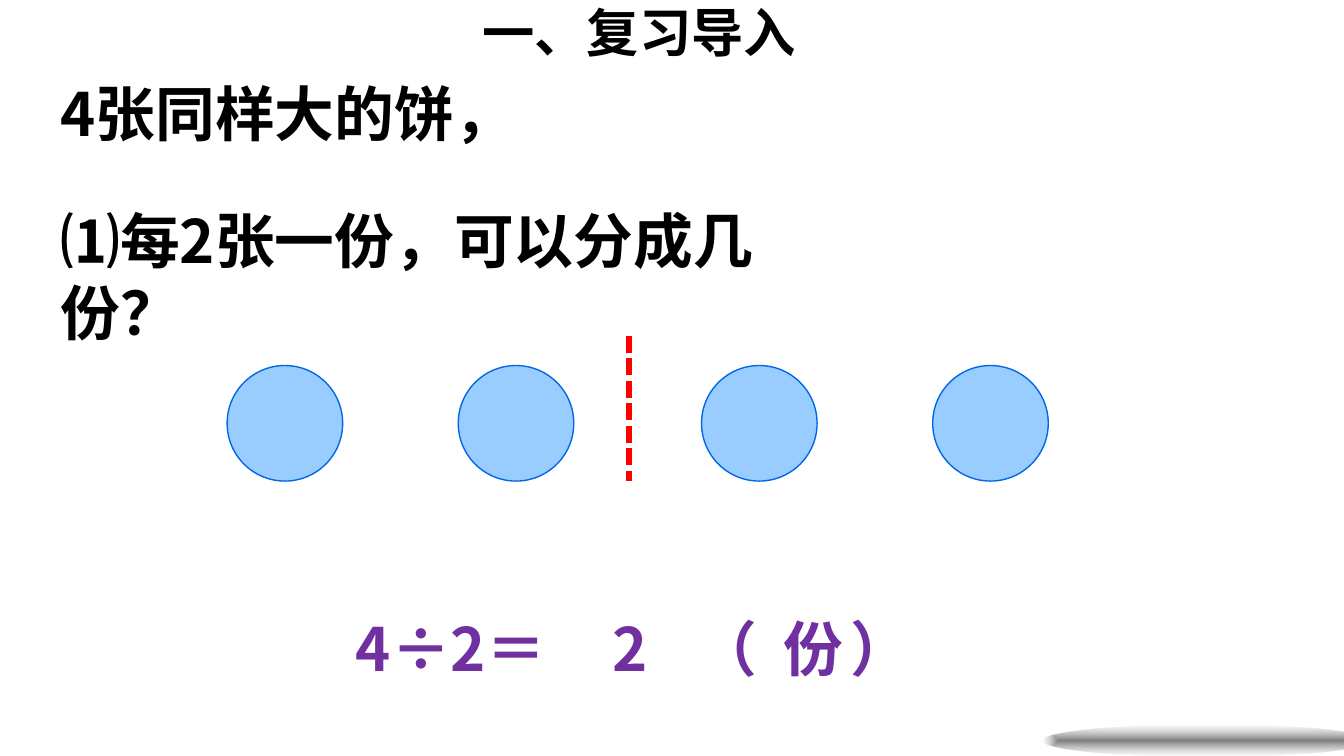
from dataclasses import dataclass

from lxml import etree
from pptx import Presentation
from pptx.dml.color import RGBColor
from pptx.enum.dml import MSO_LINE
from pptx.enum.shapes import MSO_CONNECTOR, MSO_SHAPE
from pptx.enum.text import MSO_ANCHOR, MSO_AUTO_SIZE, PP_ALIGN
from pptx.oxml import parse_xml
from pptx.oxml.ns import nsdecls, qn
from pptx.util import Inches, Pt

DASH = MSO_LINE.SQUARE_DOT
STRAIGHT = MSO_CONNECTOR.STRAIGHT
OVAL = MSO_SHAPE.OVAL
TOP = MSO_ANCHOR.TOP
NO_FIT = MSO_AUTO_SIZE.NONE
LEFT, CENTER = PP_ALIGN.LEFT, PP_ALIGN.CENTER


@dataclass
class Theme:
    """Colours, fonts and type sizes of the lesson."""
    ink: str = "000000"
    sum: str = "7030A0"
    cut: str = "FF0000"
    cake: str = "99CCFF"
    edge: str = "0067E5"
    shade: str = "6C6C6C"
    head: str = "Noto Sans CJK KR"
    body: str = "Noto Sans CJK SC"
    big: int = 32
    mid: int = 28


def write(frame, text, *, font, size, color, align=LEFT, tabs=(), inset=0.1):
    """Put one bold paragraph into a frame, underlining what stands between bars."""
    frame.word_wrap = True
    frame.auto_size = NO_FIT
    frame.vertical_anchor = TOP
    frame.margin_right = Inches(inset)
    para = frame.paragraphs[0]
    para.alignment = align
    if tabs:
        stops = etree.SubElement(para._p.get_or_add_pPr(), qn("a:tabLst"))
        for stop in tabs:
            etree.SubElement(stops, qn("a:tab"), pos=str(Inches(stop)), algn="l")
    for index, part in enumerate(text.split("|")):
        run = para.add_run()
        run.text = part
        run.font.size = Pt(size)
        run.font.bold = True
        run.font.underline = index % 2 == 1
        run.font.color.rgb = RGBColor.from_string(color)
        run.font.name = font
        props = run._r.get_or_add_rPr()
        props.set("lang", "zh-CN")
        etree.SubElement(props, qn("a:ea"), typeface=font)


class Board:
    """Holds the theme and the current slide."""

    def __init__(self, slide, theme):
        """Keep the slide and its theme."""
        self.slide = slide
        self.shapes = slide.shapes
        self.theme = theme

    def title(self, text, x, y, w, h):
        """Place and fill the title."""
        box = self.shapes.title
        box.left, box.top, box.width, box.height = map(Inches, (x, y, w, h))
        write(box.text_frame, text, font=self.theme.head, size=self.theme.mid,
              color=self.theme.ink, align=CENTER)

    def text(self, text, x, y, w, h, **style):
        """Add a text box."""
        box = self.shapes.add_textbox(*map(Inches, (x, y, w, h)))
        write(box.text_frame, text, size=self.theme.big, **style)

    def oval(self, x, y, w, h):
        """Add an oval without shadow."""
        shape = self.shapes.add_shape(OVAL, *map(Inches, (x, y, w, h)))
        shape.shadow.inherit = False
        return shape

    def cake(self, x, y, size):
        """Add one round cake."""
        shape = self.oval(x, y, size, size)
        shape.fill.solid()
        shape.fill.fore_color.rgb = RGBColor.from_string(self.theme.cake)
        shape.line.color.rgb = RGBColor.from_string(self.theme.edge)
        shape.line.width = Pt(0.75)

    def glow(self, x, y, w, h):
        """Add a soft oval that fades to its rim."""
        shape = self.oval(x, y, w, h)
        shape.line.fill.background()
        shape.fill.background()
        props = shape._element.spPr
        fade = parse_xml(
            f'<a:gradFill {nsdecls("a")} rotWithShape="1"><a:gsLst>'
            f'<a:gs pos="0"><a:srgbClr val="{self.theme.ink}">'
            '<a:alpha val="50000"/></a:srgbClr></a:gs>'
            f'<a:gs pos="100000"><a:srgbClr val="{self.theme.shade}">'
            '<a:alpha val="0"/></a:srgbClr></a:gs></a:gsLst>'
            '<a:path path="rect"><a:fillToRect l="50000" t="50000" '
            'r="50000" b="50000"/></a:path></a:gradFill>')
        props.replace(props.find(qn("a:noFill")), fade)

    def line(self, x1, y1, x2, y2, color, width, dash):
        """Add a straight dashed line."""
        line = self.shapes.add_connector(STRAIGHT, *map(Inches, (x1, y1, x2, y2)))
        line.line.color.rgb = RGBColor.from_string(color)
        line.line.width = Pt(width)
        line.line.dash_style = dash
        etree.SubElement(line._element.spPr, qn("a:effectLst"))


def main():
    """Build the lesson slide."""
    deck = Presentation()
    deck.slide_width = Inches(10)
    deck.slide_height = deck.slide_width * 9 // 16
    theme = Theme()
    board = Board(deck.slides.add_slide(deck.slide_layouts[5]), theme)

    board.glow(7.76, 5.39, 2.44, 0.24)
    board.title("一、复习导入", 3.1, -0.05, 3.31, 0.57)
    prose = {"font": theme.body, "color": theme.ink}
    board.text("⑴每2张一份，可以分成几份？", 0.35, 1.47, 6.45, 1.17,
               inset=0.8, **prose)

    for start in (1.69, 5.22):
        for step in range(2):
            board.cake(start + step * 1.72, 2.72, 0.86)

    maths = {"font": theme.head, "color": theme.sum}
    board.text("4÷2＝|\t|（\t）", 2.55, 4.5, 5.25, 0.64,
               tabs=(2.54, 3.68), **maths)
    board.text("2\t份", 4.46, 4.5, 2.71, 0.64, tabs=(1.27,), **maths)
    board.line(4.68, 2.5, 4.68, 3.58, theme.cut, 3, DASH)
    board.text("4张同样大的饼，", 0.35, 0.52, 3.79, 0.64, **prose)
    deck.save("out.pptx")


if __name__ == "__main__":
    main()
